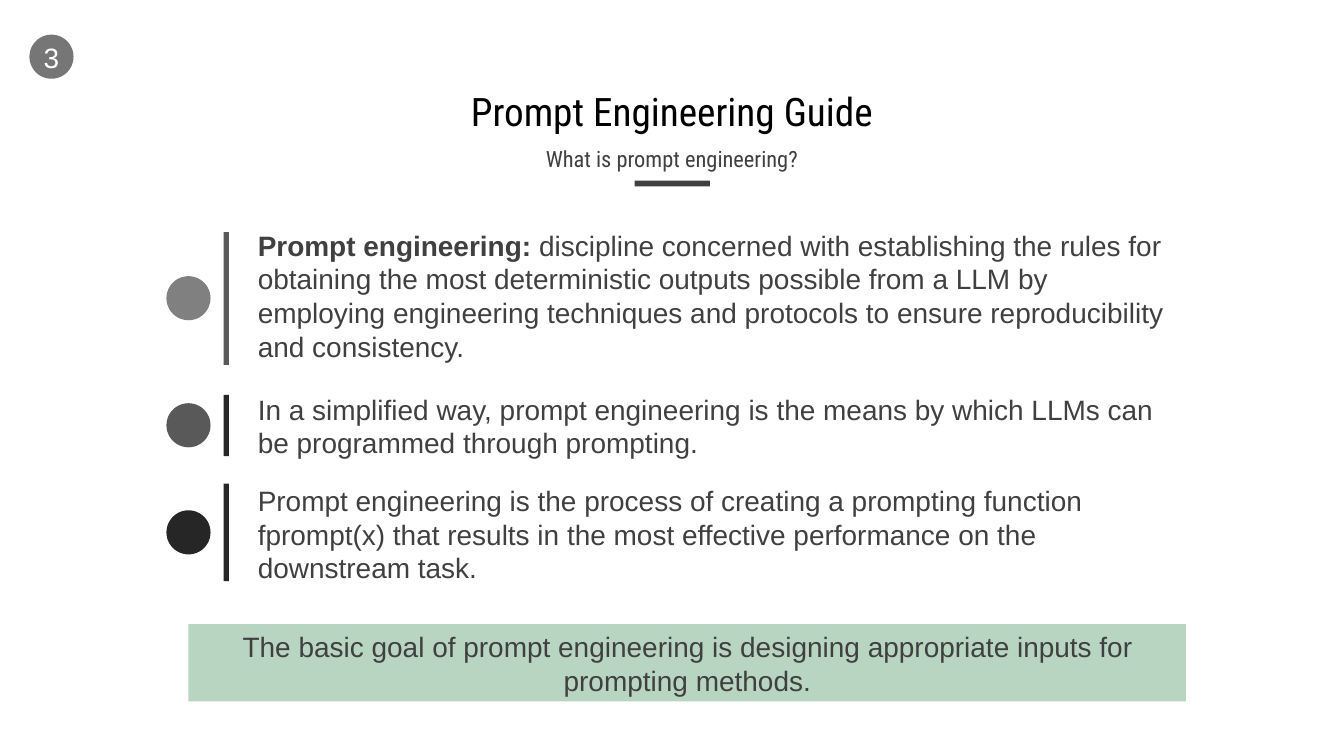
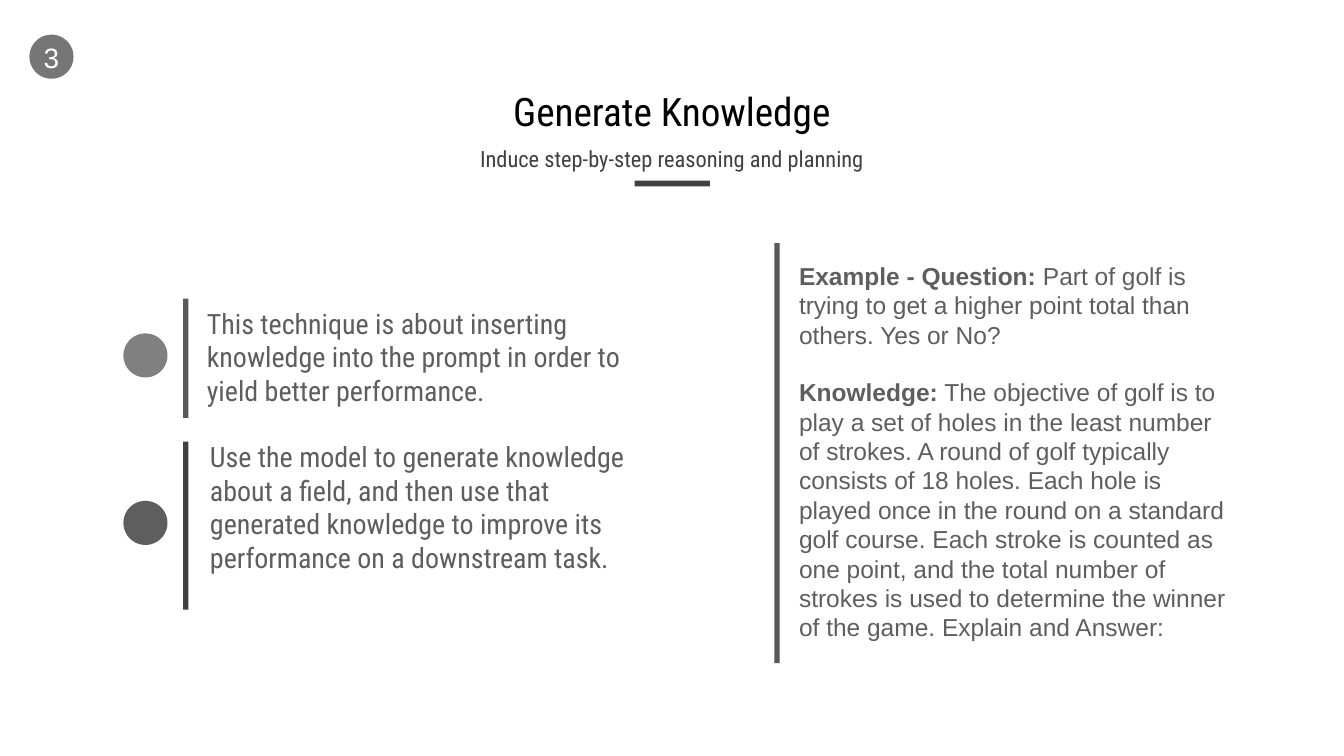
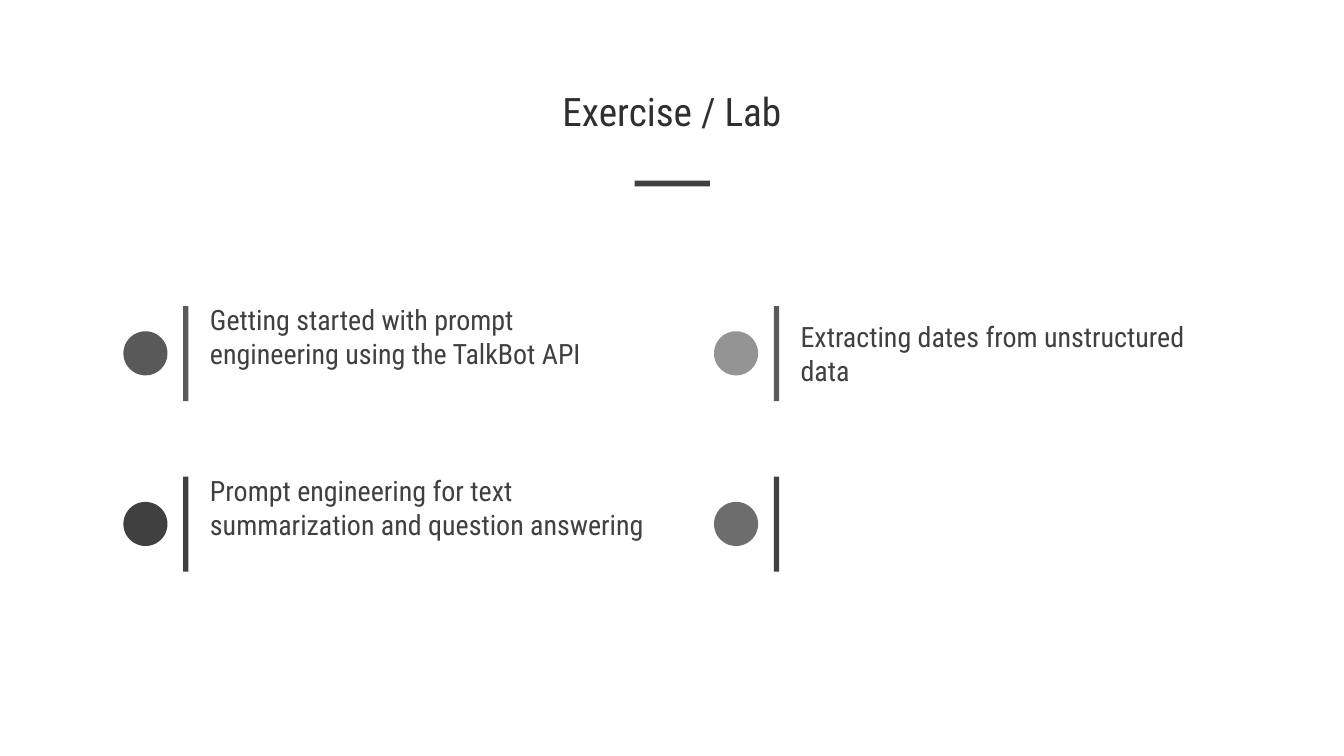
"""Build three slides on prompt engineering with a shared heading style."""
import dataclasses

import pptx
import pptx.dml.color
import pptx.enum.shapes
import pptx.enum.text
import pptx.util

PX = 9525
SHAPE = pptx.enum.shapes.MSO_SHAPE
ANCHOR = pptx.enum.text.MSO_ANCHOR
ALIGN = pptx.enum.text.PP_ALIGN
FIT = pptx.enum.text.MSO_AUTO_SIZE


@dataclasses.dataclass(frozen=True)
class Theme:
    heading_font: str = "Roboto Condensed"
    body_font: str = "Arial"
    title_size: int = 56
    subtitle_size: int = 32
    body_size: int = 40
    example_size: int = 35
    black: str = "000000"
    white: str = "FFFFFF"
    ink: str = "262626"
    title_ink: str = "2F2F2F"
    dark: str = "404040"
    slate: str = "595959"
    steel: str = "5E5E5E"
    ash: str = "6D6D6D"
    badge: str = "757675"
    gray: str = "808080"
    silver: str = "949494"
    green: str = "B7D5C1"


class SlideBuilder:
    width, height = 2560, 1440
    dot_size, bar_width = 84, 10

    def __init__(self, theme):
        self.theme = theme
        self.deck = pptx.Presentation()
        self.deck.slide_width = self.width * PX
        self.deck.slide_height = self.height * PX
        self.slide = None

    def color(self, value):
        return pptx.dml.color.RGBColor.from_string(value)

    def new_slide(self, title, subtitle=None, title_color=None, badge=None):
        self.slide = self.deck.slides.add_slide(self.deck.slide_layouts[6])
        theme = self.theme
        self.heading(title, 152, 129, theme.title_size, title_color or theme.black)
        if subtitle:
            self.heading(subtitle, 270, 72, theme.subtitle_size, theme.dark)
        self.shape(SHAPE.RECTANGLE, 1209, 344, 143, 11, theme.dark)
        if badge:
            self.dot(56, 66, theme.badge)
            self.text(badge, 77, 71, 41, 75, color=theme.white, align=ALIGN.CENTER,
                      anchor=ANCHOR.MIDDLE, inset=6, wrap=False)

    def heading(self, words, top, height, size, color):
        self.text(words, 176, top, 2208, height, size=size, color=color,
                  font=self.theme.heading_font, align=ALIGN.CENTER,
                  anchor=ANCHOR.MIDDLE, line_spacing=0.9, fit=FIT.NONE)

    def shape(self, kind, left, top, width, height, fill):
        shape = self.slide.shapes.add_shape(
            kind, left * PX, top * PX, width * PX, height * PX)
        shape.shadow.inherit = False
        shape.fill.solid()
        shape.fill.fore_color.rgb = self.color(fill)
        shape.line.fill.background()
        return shape

    def dot(self, left, top, fill):
        self.shape(SHAPE.OVAL, left, top, self.dot_size, self.dot_size, fill)

    def bar(self, left, top, height, fill):
        self.shape(SHAPE.RECTANGLE, left, top, self.bar_width, height, fill)

    def marker(self, dot_left, bar_left, top, height, dot_fill, bar_fill, shift=0):
        self.bar(bar_left, top, height, bar_fill)
        dot_top = top + (height - self.dot_size) // 2 + shift
        self.dot(dot_left, dot_top, dot_fill)

    def text(self, content, left, top, width, height, **style):
        box = self.slide.shapes.add_textbox(
            left * PX, top * PX, width * PX, height * PX)
        self.fill_text(box, content, **style)

    def panel(self, words, left, top, width, height, fill):
        box = self.shape(SHAPE.RECTANGLE, left, top, width, height, fill)
        self.fill_text(box, words, align=ALIGN.CENTER)

    def fill_text(self, box, content, size=None, color=None, font=None,
                  align=ALIGN.LEFT, anchor=ANCHOR.TOP, inset=10, wrap=True,
                  line_spacing=None, gap=0, fit=FIT.SHAPE_TO_FIT_TEXT):
        """Fill a box from a string or from paragraphs of (bold lead, rest) pairs."""
        frame = box.text_frame
        frame.word_wrap = wrap
        frame.auto_size = fit
        frame.vertical_anchor = anchor
        frame.margin_left = frame.margin_right = inset * PX
        frame.margin_top = frame.margin_bottom = inset * PX
        paragraphs = [("", content)] if isinstance(content, str) else content
        for index, (lead, rest) in enumerate(paragraphs):
            para = frame.add_paragraph() if index else frame.paragraphs[0]
            para.alignment = align
            if line_spacing:
                para.line_spacing = line_spacing
            if index and gap:
                para.space_before = pptx.util.Pt(gap)
            para.font.size = pptx.util.Pt(size or self.theme.body_size)
            para.font.name = font or self.theme.body_font
            para.font.color.rgb = self.color(color or self.theme.dark)
            if lead:
                span = para.add_run()
                span.text = lead
                span.font.bold = True
            para.add_run().text = rest


def guide_slide(builder):
    theme = builder.theme
    builder.new_slide("Prompt Engineering Guide", "What is prompt engineering?", badge="3")
    definition = [(
        "Prompt engineering: ",
        "discipline concerned with establishing the rules for obtaining the most "
        "deterministic outputs possible from a LLM by employing engineering techniques "
        "and protocols to ensure reproducibility and consistency.")]
    simplified = ("In a simplified way, prompt engineering is the means by which LLMs can "
                  "be programmed through prompting.")
    process = ("Prompt engineering is the process of creating a prompting function "
               "fprompt(x) that results in the most effective performance on the "
               "downstream task.")
    rows = [
        (definition, 442, 253, 425, 276, theme.gray, theme.slate),
        (simplified, 752, 117, 737, 147, theme.slate, theme.ink),
        (process, 921, 186, 911, 211, theme.ink, theme.ink),
    ]
    for words, bar_top, bar_height, text_top, text_height, dot_fill, bar_fill in rows:
        builder.marker(317, 426, bar_top, bar_height, dot_fill, bar_fill)
        builder.text(words, 481, text_top, 1763, text_height)
    builder.panel("The basic goal of prompt engineering is designing appropriate inputs "
                  "for prompting methods.", 359, 1189, 1900, 147, theme.green)


def knowledge_slide(builder):
    theme = builder.theme
    builder.new_slide("Generate Knowledge", "Induce step-by-step reasoning and planning",
                      badge="3")
    technique = ("This technique is about inserting knowledge into the prompt in order to "
                 "yield better performance.")
    usage = ("Use the model to generate knowledge about a field, and then use that "
             "generated knowledge to improve its performance on a downstream task.")
    rows = [
        (technique, 569, 227, 384, 573, 211, theme.gray, theme.slate),
        (usage, 841, 320, 390, 827, 339, theme.steel, theme.dark),
    ]
    for words, bar_top, bar_height, left, top, height, dot_fill, bar_fill in rows:
        builder.marker(235, 349, bar_top, bar_height, dot_fill, bar_fill, shift=-5)
        builder.text(words, left, top, 855, height, font=theme.heading_font,
                     color=theme.steel)
    example = [
        ("Example - Question:",
         " Part of golf is trying to get a higher point total than others. Yes or No?"),
        ("Knowledge:",
         " The objective of golf is to play a set of holes in the least number of strokes. "
         "A round of golf typically consists of 18 holes. Each hole is played once in the "
         "round on a standard golf course. Each stroke is counted as one point, and the "
         "total number of strokes is used to determine the winner of the game. Explain "
         "and Answer:"),
    ]
    builder.bar(1475, 463, 800, theme.slate)
    builder.text(example, 1512, 487, 855, 747, size=theme.example_size,
                 color=theme.steel, gap=40)


def lab_slide(builder):
    theme = builder.theme
    builder.new_slide("Exercise / Lab", title_color=theme.title_ink)
    column_step, row_step, bar_height = 1125, 325, 181
    exercises = [
        (0, 0, "Getting started with prompt engineering using the TalkBot API", 211,
         theme.slate),
        (0, 1, "Prompt engineering for text summarization and question answering", 211,
         theme.dark),
        (1, 0, "Extracting dates from unstructured data", 147, theme.silver),
        (1, 1, None, 0, theme.ash),
    ]
    for column, row, words, text_height, dot_fill in exercises:
        offset = column * column_step
        top = 583 + row * row_step
        bar_fill = theme.dark if row else theme.slate
        builder.marker(235 + offset, 349 + offset, top, bar_height, dot_fill, bar_fill)
        if words:
            text_top = top + (bar_height - text_height) // 2 - 1
            builder.text(words, 390 + offset, text_top, 855, text_height,
                         font=theme.heading_font)


def main():
    builder = SlideBuilder(Theme())
    guide_slide(builder)
    knowledge_slide(builder)
    lab_slide(builder)
    builder.deck.save("out.pptx")


if __name__ == "__main__":
    main()
